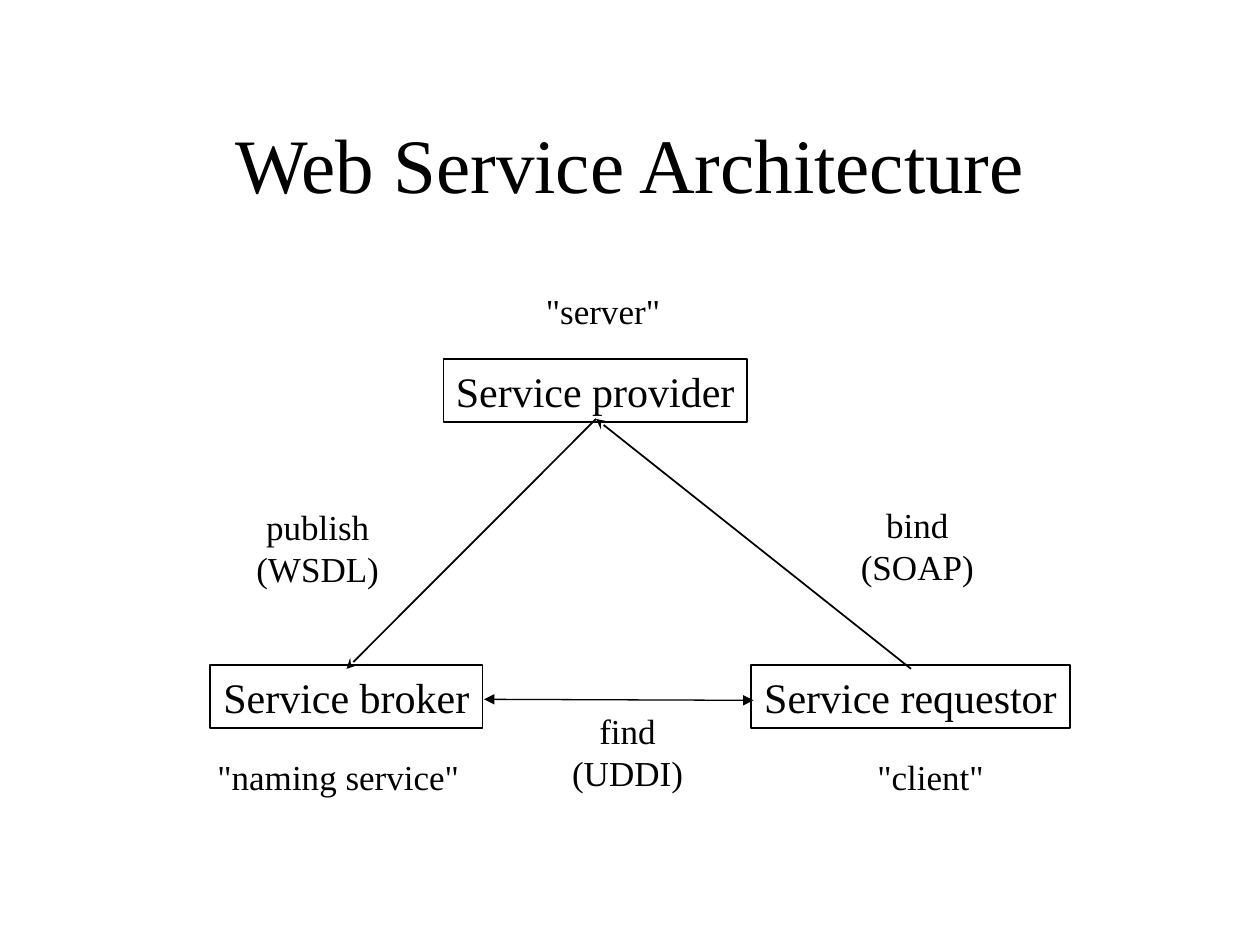
from lxml import etree
from pptx import Presentation
from pptx.dml.color import RGBColor
from pptx.enum.shapes import MSO_CONNECTOR, MSO_SHAPE
from pptx.enum.text import MSO_ANCHOR, PP_ALIGN
from pptx.oxml.ns import qn
from pptx.util import Pt

RECTANGLE = MSO_SHAPE.RECTANGLE
STRAIGHT = MSO_CONNECTOR.STRAIGHT
TOP, MIDDLE = MSO_ANCHOR.TOP, MSO_ANCHOR.MIDDLE
CENTER = PP_ALIGN.CENTER

FONT = "Times New Roman"
BLACK, WHITE = "000000", "FFFFFF"
TITLE_BOX = (54, 48, 612, 90)
DIAGRAM_BOX = (117, 162, 495, 298)


def color(value):
    return RGBColor.from_string(value)


def write_text(shape, text, size=20, anchor=TOP, wrap=False):
    frame = shape.text_frame
    frame.text = text
    frame.word_wrap = wrap
    frame.vertical_anchor = anchor
    for paragraph in frame.paragraphs:
        paragraph.alignment = CENTER
        paragraph.font.name = FONT
        paragraph.font.size = Pt(size)
        paragraph.font.color.rgb = color(BLACK)


def add_role(slide, text, left, top, width, height=36):
    shape = slide.shapes.add_shape(RECTANGLE, Pt(left), Pt(top), Pt(width), Pt(height))
    shape.shadow.inherit = False
    shape.fill.solid()
    shape.fill.fore_color.rgb = color(WHITE)
    shape.line.color.rgb = color(BLACK)
    shape.line.width = Pt(1)
    write_text(shape, text, size=24, anchor=MIDDLE)


def add_label(slide, text, left, top, width, height):
    shape = slide.shapes.add_textbox(Pt(left), Pt(top), Pt(width), Pt(height))
    write_text(shape, text)


def add_arrow(slide, start, end, width=1, head=None, tail=None):
    arrow = slide.shapes.add_connector(STRAIGHT, *map(Pt, start + end))
    arrow.line.color.rgb = color(BLACK)
    arrow.line.width = Pt(width)
    line = arrow.line._get_or_add_ln()
    for tag, kind in (("a:headEnd", head), ("a:tailEnd", tail)):
        if kind:
            etree.SubElement(line, qn(tag)).set("type", kind)
    etree.SubElement(arrow._element.spPr, qn("a:effectLst"))


def place_title(slide, box):
    title = slide.shapes.title
    title.left, title.top, title.width, title.height = map(Pt, box)
    write_text(title, "Web Service Architecture", size=44, anchor=MIDDLE, wrap=True)


def place_diagram(slide, box):
    left, top, width, height = box
    right, bottom = left + width, top + height
    provider_top, client_top = top + 43.2, top + 218.2
    provider_base = (left + 223.6, top + 77.4)

    add_role(slide, "Service provider", left + 136.4, provider_top, 173.5)
    add_role(slide, "Service broker", left + 3.2, client_top, 155.5)
    add_role(slide, "Service requestor", right - 182.7, client_top, 182)

    add_arrow(slide, provider_base, (left + 81, top + 220.2), tail="stealth")
    add_arrow(slide, (right - 91.4, top + 220.2), provider_base, tail="stealth")
    add_arrow(slide, (left + 159.6, top + 237.6), (right - 181.4, top + 238.2),
              width=0.75, head="triangle", tail="triangle")

    add_label(slide, "publish\n(WSDL)", left + 22, top + 123.2, 85, 55.4)
    add_label(slide, "find\n(UDDI)", left + 202.7, top + 239.8, 77.8, 55.4)
    add_label(slide, "bind\n(SOAP)", right - 127.4, top + 122.4, 79.2, 55.4)

    add_label(slide, '"server"', left + 187.6, top, 79.9, 31)
    add_label(slide, '"client"', right - 118, bottom - 31.6, 75.6, 31)
    add_label(slide, '"naming service"', left, bottom - 31.6, 152.6, 31)


def main():
    presentation = Presentation()
    presentation.slide_width, presentation.slide_height = Pt(720), Pt(540)
    slide = presentation.slides.add_slide(presentation.slide_layouts[5])
    place_title(slide, TITLE_BOX)
    place_diagram(slide, DIAGRAM_BOX)
    presentation.save("out.pptx")


if __name__ == "__main__":
    main()
